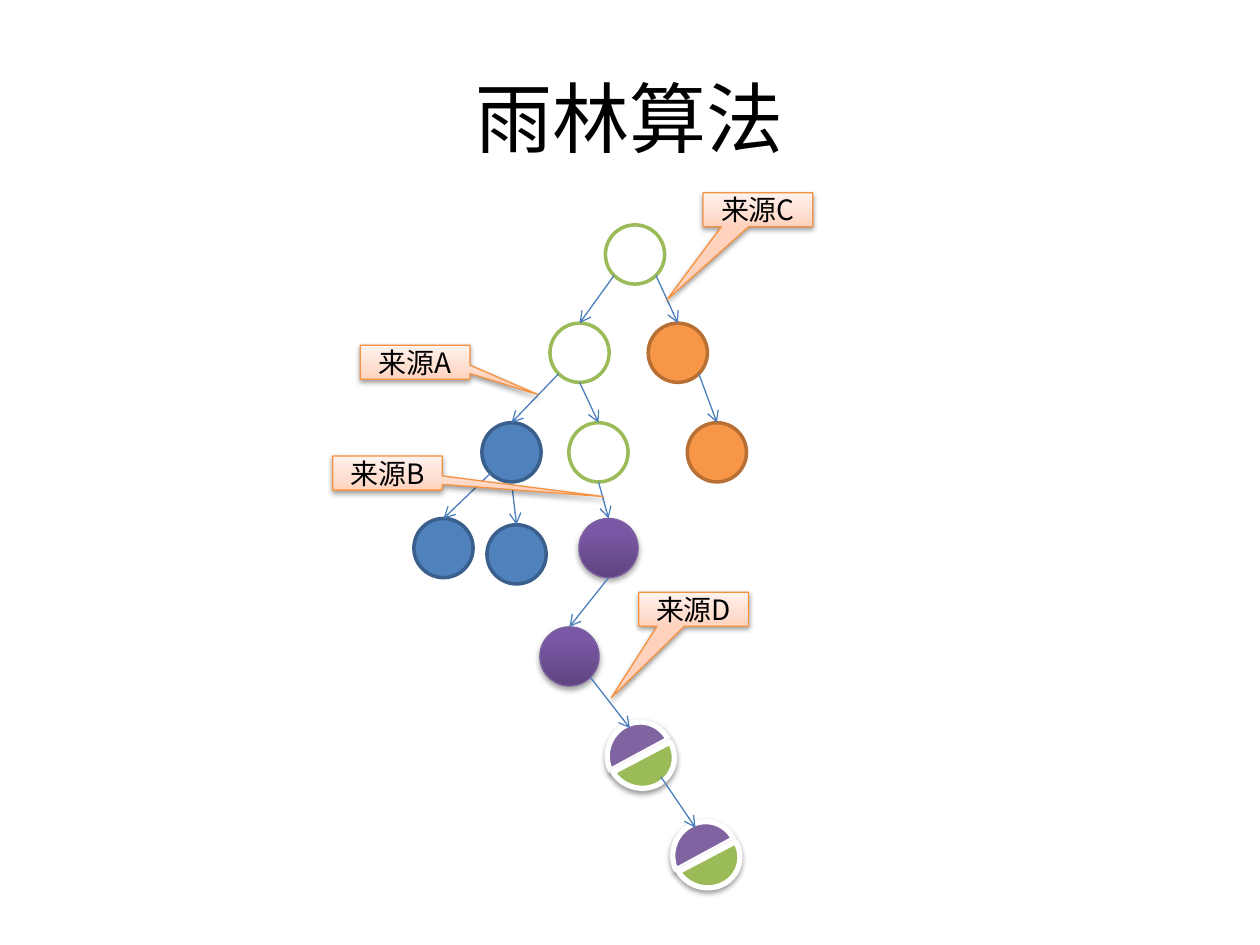
from copy import deepcopy
from math import sqrt

from lxml import etree
from pptx import Presentation
from pptx.dml.color import RGBColor
from pptx.enum import shapes, text
from pptx.oxml import ns
from pptx.util import Inches, Pt

BLACK = RGBColor(0x00, 0x00, 0x00)
WHITE = RGBColor(0xFF, 0xFF, 0xFF)
GREEN = RGBColor(0x9B, 0xBB, 0x59)
ORANGE = RGBColor(0xF7, 0x96, 0x46)
DARK_ORANGE = RGBColor(0xB7, 0x6F, 0x34)
BLUE = RGBColor(0x4F, 0x81, 0xBD)
DARK_BLUE = RGBColor(0x3A, 0x5F, 0x8C)
EDGE_BLUE = RGBColor(0x4B, 0x7E, 0xBC)
PURPLE = RGBColor(0x80, 0x64, 0xA2)
PURPLE_LINE = RGBColor(0x7D, 0x60, 0xA0)
CALLOUT_LINE = RGBColor(0xF6, 0x92, 0x40)
PURPLE_GRADIENT = [(0, RGBColor(0x5F, 0x44, 0x80)),
                   (0.8, RGBColor(0x7B, 0x58, 0xA6)),
                   (1, RGBColor(0x7C, 0x57, 0xA8))]
CALLOUT_GRADIENT = [(0, RGBColor(0xFF, 0xD2, 0xBD)),
                    (0.35, RGBColor(0xFF, 0xDE, 0xD0)),
                    (1, RGBColor(0xFF, 0xF2, 0xED))]

TITLE = "雨林算法"

# kind: fill, line colour, line width, shadow (opacity %, distance pt)
NODE_STYLES = {
    "open": (WHITE, GREEN, 2, None),
    "orange": (ORANGE, DARK_ORANGE, 2, None),
    "blue": (BLUE, DARK_BLUE, 2, None),
    "purple": (PURPLE_GRADIENT, PURPLE_LINE, 0.75, (35, 1.8)),
}
CALLOUT_SHADOW = (38, 1.6)

# name: kind, centre x, centre y
NODES = {
    "root": ("open", 5.04, 2.02),
    "left": ("open", 4.6, 2.8),
    "right": ("orange", 5.38, 2.8),
    "right leaf": ("orange", 5.69, 3.59),
    "a": ("blue", 4.06, 3.59),
    "a1": ("blue", 3.52, 4.35),
    "a2": ("blue", 4.1, 4.4),
    "middle": ("open", 4.75, 3.59),
    "b": ("purple", 4.83, 4.35),
    "b1": ("purple", 4.52, 5.21),
    "d": ("mixed", 5.08, 6),
    "d1": ("mixed", 5.6, 6.79),
}
# parent, side of the parent where the arrow starts, child
EDGES = [
    ("root", "left", "left"), ("root", "right", "right"),
    ("left", "left", "a"), ("left", "bottom", "middle"),
    ("right", "right", "right leaf"),
    ("a", "left", "a1"), ("a", "bottom", "a2"),
    ("middle", "bottom", "b"), ("b", "bottom", "b1"),
    ("b1", "right", "d"), ("d", "right", "d1"),
]
# label, left, top, pointer offset in widths and heights
CALLOUTS = [
    ("来源A", 2.86, 2.74, (1.12, 0.95)),
    ("来源B", 2.64, 3.62, (1.97, 0.69)),
    ("来源C", 5.58, 1.53, (-0.83, 2.65)),
    ("来源D", 5.07, 4.7, (-0.75, 2.6)),
]
# colour, offset from the node centre, width, height, rotation
HALVES = [(PURPLE, -0.27, -0.26, 0.53, 0.51, 107.5),
          (GREEN, -0.24, -0.26, 0.5, 0.53, 288.3)]

RADIUS = 0.235
DIAGONAL = RADIUS / sqrt(2)
EXITS = {"left": (-DIAGONAL, DIAGONAL), "bottom": (0, RADIUS),
         "right": (DIAGONAL, DIAGONAL)}
CALLOUT_SIZE = (0.87, 0.27)


def paint(shape, fill, line, width, shadow=None):
    """Fill with a colour or a list of gradient stops, outline, and shade."""
    if isinstance(fill, list):
        shape.fill.gradient()
        shape.fill.gradient_angle = 90
        stops = shape._element.spPr.find(".//" + ns.qn("a:gsLst"))
        while len(stops) < len(fill):
            stops.append(deepcopy(stops[0]))
        for stop, (position, color) in zip(shape.fill.gradient_stops, fill):
            stop.position = position
            stop.color.rgb = color
    else:
        shape.fill.solid()
        shape.fill.fore_color.rgb = fill
    shape.line.color.rgb = line
    shape.line.width = Pt(width)
    shape.shadow.inherit = False
    if shadow:
        opacity, distance = shadow
        effects = shape._element.spPr.find(ns.qn("a:effectLst"))
        outer = etree.SubElement(effects, ns.qn("a:outerShdw"), blurRad=str(Pt(3.1)),
                                 dist=str(Pt(distance)), dir="5400000", rotWithShape="0")
        black = etree.SubElement(outer, ns.qn("a:srgbClr"), val=str(BLACK))
        etree.SubElement(black, ns.qn("a:alpha"), val=str(opacity * 1000))


def write(shape, words, size, font, wrap=True, margin=0.0):
    frame = shape.text_frame
    frame.word_wrap = wrap
    frame.margin_left = frame.margin_right = Inches(margin)
    frame.margin_top = frame.margin_bottom = Inches(margin / 2)
    frame.vertical_anchor = text.MSO_ANCHOR.MIDDLE
    paragraph = frame.paragraphs[0]
    paragraph.alignment = text.PP_ALIGN.CENTER
    run = paragraph.add_run()
    run.text = words
    run.font.size = Pt(size)
    run.font.color.rgb = BLACK
    run.font.name = font
    etree.SubElement(run._r.get_or_add_rPr(), ns.qn("a:ea"), typeface=font)


def add_shape(slide, preset, *box):
    return slide.shapes.add_shape(preset, *map(Inches, box))


def add_node(slide, kind, x, y):
    if kind == "mixed":
        for color, dx, dy, width, height, rotation in HALVES:
            half = add_shape(slide, shapes.MSO_SHAPE.CHORD, x + dx, y + dy, width, height)
            half.adjustments[0], half.adjustments[1] = 27, 133.86
            half.rotation = rotation
            paint(half, color, WHITE, 3, CALLOUT_SHADOW)
    else:
        circle = add_shape(slide, shapes.MSO_SHAPE.FLOWCHART_CONNECTOR,
                           x - RADIUS, y - RADIUS, 2 * RADIUS, 2 * RADIUS)
        paint(circle, *NODE_STYLES[kind])


def add_edge(slide, parent, side, child):
    _, x1, y1 = NODES[parent]
    kind, x2, y2 = NODES[child]
    dx, dy = EXITS[side]
    enter_x, enter_y = (-0.08, -0.22) if kind == "mixed" else (0, -RADIUS)
    ends = (x1 + dx, y1 + dy, x2 + enter_x, y2 + enter_y)
    edge = slide.shapes.add_connector(shapes.MSO_CONNECTOR.STRAIGHT, *map(Inches, ends))
    edge.line.color.rgb = EDGE_BLUE
    edge.line.width = Pt(0.75)
    etree.SubElement(edge.line._get_or_add_ln(), ns.qn("a:tailEnd"), type="arrow")
    etree.SubElement(edge._element.spPr, ns.qn("a:effectLst"))


def main():
    deck = Presentation()
    deck.slide_width, deck.slide_height = Inches(10), Inches(7.5)
    slide = deck.slides.add_slide(deck.slide_layouts[6])

    title = slide.shapes.add_textbox(*map(Inches, (0.5, 0.3, 9, 1.25)))
    write(title, TITLE, 44, "DejaVu Sans", margin=0.1)

    for node in NODES.values():
        add_node(slide, *node)
    for edge in EDGES:
        add_edge(slide, *edge)
    for label, left, top, pointer in CALLOUTS:
        callout = add_shape(slide, shapes.MSO_SHAPE.RECTANGULAR_CALLOUT,
                            left, top, *CALLOUT_SIZE)
        callout.adjustments[0], callout.adjustments[1] = pointer
        paint(callout, CALLOUT_GRADIENT, CALLOUT_LINE, 0.75, CALLOUT_SHADOW)
        write(callout, label, 16, "Noto Sans CJK SC", wrap=False)

    deck.save("out.pptx")


if __name__ == "__main__":
    main()
